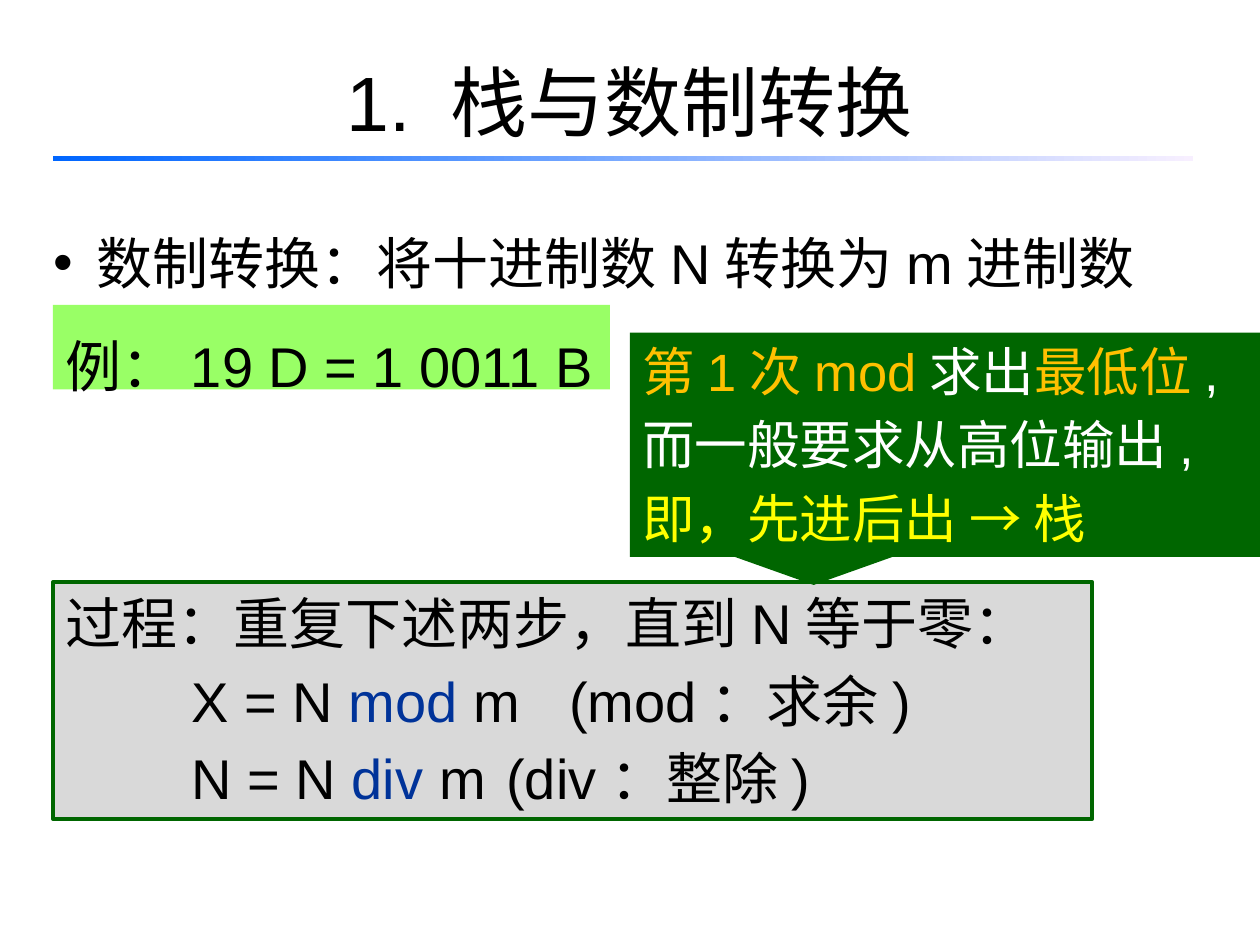
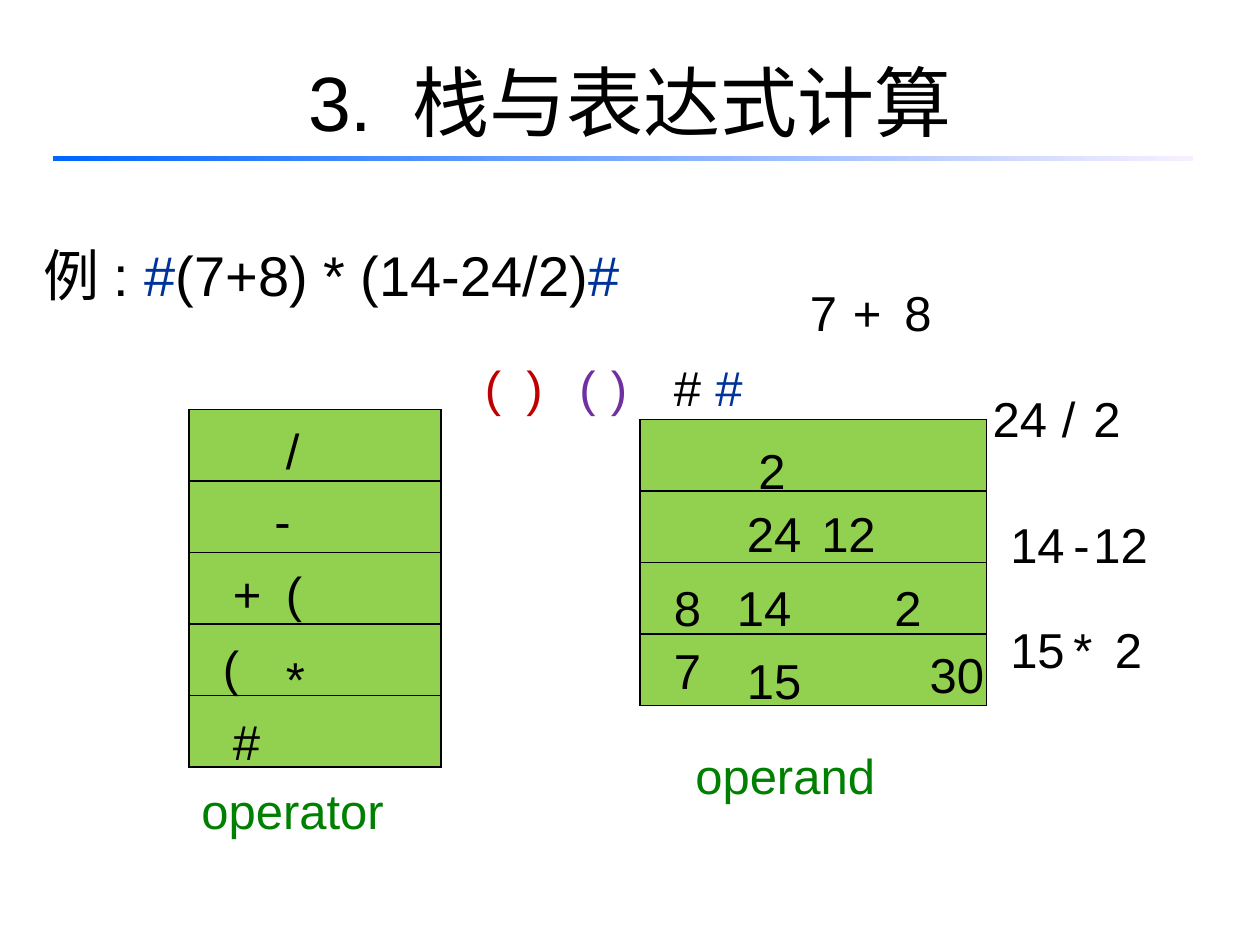
"""Build two slides on stacks: base conversion and expression evaluation."""
import dataclasses
import typing

import lxml.etree
import pptx
import pptx.dml.color
import pptx.enum.shapes
import pptx.enum.text
import pptx.oxml.ns
import pptx.util

Inches = pptx.util.Inches
Pt = pptx.util.Pt
Align = pptx.enum.text.PP_ALIGN
Shape = pptx.enum.shapes.MSO_SHAPE


@dataclasses.dataclass(frozen=True)
class Theme:
    font: str = "Arial"
    black: str = "000000"
    white: str = "FFFFFF"
    blue: str = "003399"
    red: str = "C00000"
    purple: str = "7030A0"
    gold: str = "FFC000"
    yellow: str = "FFFF00"
    label: str = "008000"
    forest: str = "006600"
    lime: str = "99FF66"
    cell: str = "92D050"
    grey: str = "D9D9D9"
    band: tuple[str, str] = ("0066FF", "F7EFFF")
    title: int = 44
    body: int = 32
    note: int = 30
    mark: int = 28


THEME = Theme()


class Box(typing.NamedTuple):
    left: float
    top: float
    width: float
    height: float

    def place(self) -> list[int]:
        return [Inches(side) for side in self]


class Run(typing.NamedTuple):
    text: str
    color: str = THEME.black


class Line(typing.NamedTuple):
    runs: list[Run]
    align: typing.Any = Align.LEFT
    space: float = 1.0
    indent: float = 0
    hang: float = 0
    stop: float = 0


class Panel(typing.NamedTuple):
    box: Box
    kind: typing.Any
    fill: str
    size: int
    lines: list[Line]
    edge: str = ""
    grow: bool = True


class Mark(typing.NamedTuple):
    text: str
    left: float
    top: float
    color: str = THEME.black


class Stack(typing.NamedTuple):
    box: Box
    rows: int


WIDTHS = {"operator": 1.67, "operand": 1.65, "(": 0.33, ")": 0.33, "-": 0.33,
          "/": 0.31, "+": 0.43, "*": 0.46}


def rgb(color: str) -> pptx.dml.color.RGBColor:
    return pptx.dml.color.RGBColor.from_string(color)


def add_node(parent: typing.Any, tag: str, **attrs: str) -> typing.Any:
    return lxml.etree.SubElement(parent, pptx.oxml.ns.qn(tag), attrs)


def write(frame: typing.Any, lines: list[Line], size: int) -> None:
    for index, line in enumerate(lines):
        para = frame.add_paragraph() if index else frame.paragraphs[0]
        props = para._p.get_or_add_pPr()
        if line.indent:
            props.set("indent", str(Inches(line.indent)))
        if line.hang:
            props.set("marL", str(Inches(line.hang)))
            props.set("indent", str(-Inches(line.hang)))
            add_node(props, "a:buFont", typeface=THEME.font)
            add_node(props, "a:buChar", char="•")
        if line.stop:
            tabs = add_node(props, "a:tabLst")
            add_node(tabs, "a:tab", pos=str(Inches(line.stop)), algn="l")
        para.alignment = line.align
        para.line_spacing = line.space
        if index:
            para.space_before = Pt(6)
        for part in line.runs:
            run = para.add_run()
            run.text = part.text
            run.font.name = THEME.font
            run.font.size = Pt(size)
            run.font.color.rgb = rgb(part.color)


def add_text(slide: typing.Any, box: Box, line: Line, size: int,
             wrap: bool = True, grow: bool = True) -> typing.Any:
    frame = slide.shapes.add_textbox(*box.place()).text_frame
    frame.word_wrap = wrap
    if grow:
        frame.auto_size = pptx.enum.text.MSO_AUTO_SIZE.SHAPE_TO_FIT_TEXT
    write(frame, [line], size)
    return frame


def add_panel(slide: typing.Any, panel: Panel) -> None:
    shape = slide.shapes.add_shape(panel.kind, *panel.box.place())
    shape.shadow.inherit = False
    shape.fill.solid()
    shape.fill.fore_color.rgb = rgb(panel.fill)
    if panel.edge:
        shape.line.color.rgb = rgb(panel.edge)
        shape.line.width = Pt(2.25)
    else:
        shape.line.fill.background()
    frame = shape.text_frame
    frame.word_wrap = True
    frame.vertical_anchor = pptx.enum.text.MSO_ANCHOR.TOP
    if panel.grow:
        frame.auto_size = pptx.enum.text.MSO_AUTO_SIZE.SHAPE_TO_FIT_TEXT
    write(frame, panel.lines, panel.size)


def add_stack(slide: typing.Any, stack: Stack) -> None:
    table = slide.shapes.add_table(stack.rows, 1, *stack.box.place()).table
    table.first_row = table.horz_banding = False
    for cell in table.iter_cells():
        props = cell._tc.get_or_add_tcPr()
        for side in ("a:lnL", "a:lnR", "a:lnT", "a:lnB"):
            edge = add_node(props, side, w=str(Pt(1)))
            add_node(add_node(edge, "a:solidFill"), "a:srgbClr", val=THEME.black)
        cell.fill.solid()
        cell.fill.fore_color.rgb = rgb(THEME.cell)


def add_mark(slide: typing.Any, mark: Mark) -> None:
    width = WIDTHS.get(mark.text, 0.2 + 0.22 * len(mark.text))
    box = Box(mark.left, mark.top, width, 0.63)
    line = Line([Run(mark.text, mark.color)], space=1.25)
    add_text(slide, box, line, THEME.mark, wrap=False)


def add_slide(deck: typing.Any, title: str) -> typing.Any:
    slide = deck.slides.add_slide(deck.slide_layouts[6])
    frame = add_text(slide, Box(0.5, 0.17, 9, 1.25),
                     Line([Run(title)], Align.CENTER), THEME.title, grow=False)
    frame.vertical_anchor = pptx.enum.text.MSO_ANCHOR.MIDDLE
    band = slide.shapes.add_shape(Shape.RECTANGLE, *Box(0.42, 1.24, 9.05, 0.04).place())
    band.shadow.inherit = False
    band.line.fill.background()
    band.fill.gradient()
    band.fill.gradient_angle = 0
    for place, (stop, color) in enumerate(zip(band.fill.gradient_stops, THEME.band)):
        stop.position = place
        stop.color.rgb = rgb(color)
    return slide


def step(left: str, word: str, right: str) -> Line:
    return Line([Run(left), Run(word, THEME.blue), Run(right)], indent=1, stop=3.97)


PANELS = [
    Panel(Box(0.42, 4.62, 8.25, 1.88), Shape.RECTANGLE, THEME.grey, THEME.body, [
        Line([Run("过程：重复下述两步，直到N等于零：")], Align.JUSTIFY),
        step("X = N ", "mod ", "m\t(mod：求余)"),
        step("N = N ", "div ", "m\t(div：整除)"),
    ], edge=THEME.forest),
    Panel(Box(0.42, 2.42, 4.42, 0.67), Shape.RECTANGLE, THEME.lime, THEME.body,
          [Line([Run("例：19 D = 1 0011 B")], space=1.3)], grow=False),
    Panel(Box(5, 2.64, 5, 1.78), Shape.RECTANGULAR_CALLOUT, THEME.forest, THEME.note, [
        Line([Run("第1次mod", THEME.gold), Run("求出", THEME.white),
              Run("最低位", THEME.gold), Run(",", THEME.white)]),
        Line([Run("而一般要求从高位输出,", THEME.white)]),
        Line([Run("即，先进后出 → 栈", THEME.yellow)]),
    ]),
]

STACKS = [Stack(Box(1.5, 3.25, 2, 2.84), 5), Stack(Box(5.08, 3.33, 2.75, 2.27), 4)]

MARKS = [
    Mark("operator", 1.5, 6.03, THEME.label),
    Mark("operand", 5.42, 5.75, THEME.label),
    Mark("#", 1.75, 5.48),
    Mark("(", 1.67, 4.89),
    Mark("7", 5.25, 4.92),
    Mark("8", 5.25, 4.42),
    Mark("+", 1.75, 4.31),
    Mark(")", 4.08, 2.67, THEME.red),
    Mark("+", 6.67, 2.08),
    Mark("8", 7.08, 2.08),
    Mark("7", 6.33, 2.08),
    Mark("15", 5.83, 5),
    Mark("(", 3.75, 2.67, THEME.red),
    Mark("*", 2.17, 4.98),
    Mark("(", 2.17, 4.31),
    Mark("14", 5.75, 4.42),
    Mark("-", 2.08, 3.73),
    Mark("24", 5.83, 3.83),
    Mark("/", 2.17, 3.17),
    Mark("2", 5.92, 3.33),
    Mark(")", 4.75, 2.67, THEME.purple),
    Mark("2", 8.58, 2.92),
    Mark("24", 7.78, 2.92),
    Mark("/", 8.33, 2.92),
    Mark("12", 6.42, 3.83),
    Mark("12", 8.58, 3.92),
    Mark("-", 8.42, 3.92),
    Mark("14", 7.92, 3.92),
    Mark("2", 7, 4.42),
    Mark("(", 4.5, 2.67, THEME.purple),
    Mark("#", 5.58, 2.67, THEME.blue),
    Mark("*", 8.42, 4.75),
    Mark("2", 8.75, 4.75),
    Mark("15", 7.92, 4.75),
    Mark("30", 7.28, 4.95),
    Mark("#", 5.25, 2.67),
]


def main() -> None:
    deck = pptx.Presentation()
    deck.slide_width, deck.slide_height = Inches(10), Inches(7.5)

    bases = add_slide(deck, "1. 栈与数制转换")
    add_text(bases, Box(0.33, 1.5, 9.33, 0.91),
             Line([Run("数制转换：将十进制数N转换为m进制数")], Align.JUSTIFY,
                  space=1.5, hang=0.34), THEME.body)
    for panel in PANELS:
        add_panel(bases, panel)

    maths = add_slide(deck, "3. 栈与表达式计算")
    add_text(maths, Box(0.25, 1.75, 4.83, 0.75),
             Line([Run("例: "), Run("#", THEME.blue), Run("(7+8) * (14-24/2)"),
                   Run("#", THEME.blue)], Align.JUSTIFY, space=1.2), THEME.body)
    for stack in STACKS:
        add_stack(maths, stack)
    for mark in MARKS:
        add_mark(maths, mark)

    deck.save("out.pptx")


if __name__ == "__main__":
    main()
